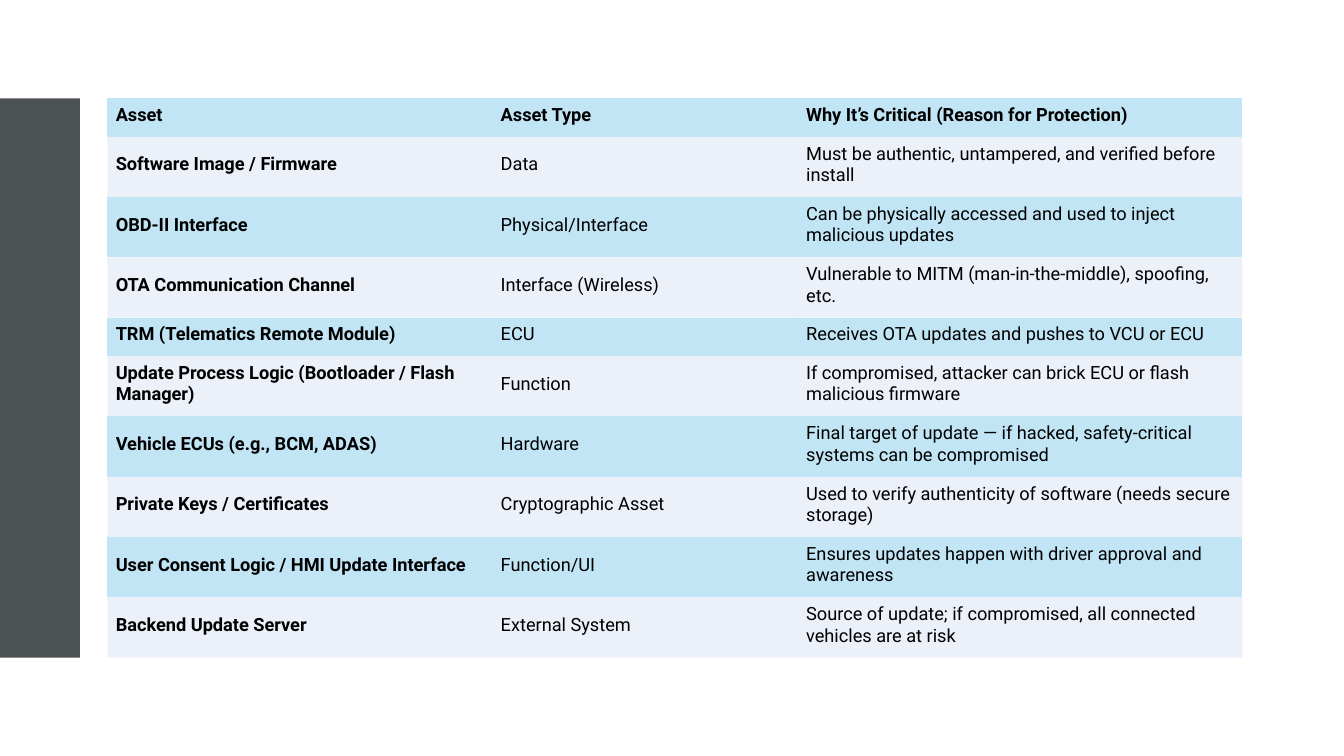
from dataclasses import dataclass

from lxml import etree
from pptx import Presentation
from pptx.dml.color import RGBColor
from pptx.enum import shapes, text
from pptx.oxml import ns
from pptx.util import Pt


@dataclass(frozen=True)
class Theme:
    font: str = "Roboto"
    size: float = 13
    ink: RGBColor = RGBColor(0x00, 0x00, 0x00)
    sidebar: RGBColor = RGBColor(0x4C, 0x52, 0x54)
    blue_band: RGBColor = RGBColor(0xC1, 0xE5, 0xF5)
    pale_band: RGBColor = RGBColor(0xDA, 0xE3, 0xF3)
    pale_opacity: int = 50


THEME = Theme()
PLAIN_TABLE_STYLE = "{2D5ABB26-0587-4C30-8999-92F81FD0307C}"
TOP = 70.2
COLUMN_WIDTHS = (275, 218.2, 317.5)
ONE_LINE_HEIGHT, TWO_LINE_HEIGHT = 27.4, 43.1
ONE_LINE_ROWS = (0, 4)

ASSETS = [
    ("Asset", "Asset Type", "Why It’s Critical (Reason for Protection)"),
    ("Software Image / Firmware", "Data",
     "Must be authentic, untampered, and verified before install"),
    ("OBD-II Interface", "Physical/Interface",
     "Can be physically accessed and used to inject malicious updates"),
    ("OTA Communication Channel", "Interface (Wireless)",
     "Vulnerable to MITM (man-in-the-middle), spoofing, etc."),
    ("TRM (Telematics Remote Module)", "ECU",
     "Receives OTA updates and pushes to VCU or ECU"),
    ("Update Process Logic (Bootloader / Flash Manager)", "Function",
     "If compromised, attacker can brick ECU or flash malicious firmware"),
    ("Vehicle ECUs (e.g., BCM, ADAS)", "Hardware",
     "Final target of update — if hacked, safety-critical systems can be compromised"),
    ("Private Keys / Certificates", "Cryptographic Asset",
     "Used to verify authenticity of software (needs secure storage)"),
    ("User Consent Logic / HMI Update Interface", "Function/UI",
     "Ensures updates happen with driver approval and awareness"),
    ("Backend Update Server", "External System",
     "Source of update; if compromised, all connected vehicles are at risk"),
]


def add_sidebar(slide, width, height):
    shape = slide.shapes.add_shape(
        shapes.MSO_SHAPE.RECTANGLE, Pt(0), Pt(TOP), Pt(width), Pt(height))
    shape.shadow.inherit = False
    shape.fill.solid()
    shape.fill.fore_color.rgb = THEME.sidebar
    shape.line.fill.background()


def fill_cell(cell, color, opacity=100):
    cell.fill.solid()
    cell.fill.fore_color.rgb = color
    if opacity < 100:
        color_element = cell.fill._xPr.find(f".//{ns.qn('a:srgbClr')}")
        etree.SubElement(color_element, ns.qn("a:alpha"), val=str(opacity * 1000))


def write_cell(cell, wording, bold):
    cell.vertical_anchor = text.MSO_ANCHOR.MIDDLE
    cell.margin_left = cell.margin_right = cell.margin_bottom = Pt(6)
    cell.margin_top = Pt(3)
    cell.text_frame.text = wording
    font = cell.text_frame.paragraphs[0].runs[0].font
    font.name, font.size, font.bold = THEME.font, Pt(THEME.size), bold
    font.color.rgb = THEME.ink


def add_asset_table(slide, left, row_heights):
    frame = slide.shapes.add_table(
        len(ASSETS), len(COLUMN_WIDTHS), Pt(left), Pt(TOP),
        Pt(sum(COLUMN_WIDTHS)), Pt(sum(row_heights)))
    frame.element.find(f".//{ns.qn('a:tableStyleId')}").text = PLAIN_TABLE_STYLE
    table = frame.table
    table.horz_banding = False
    for column, width in zip(table.columns, COLUMN_WIDTHS):
        column.width = Pt(width)
    for row_index, asset in enumerate(ASSETS):
        table.rows[row_index].height = Pt(row_heights[row_index])
        for column_index, wording in enumerate(asset):
            cell = table.cell(row_index, column_index)
            write_cell(cell, wording, bold=row_index == 0 or column_index == 0)
            if row_index % 2:
                fill_cell(cell, THEME.pale_band, THEME.pale_opacity)
            else:
                fill_cell(cell, THEME.blue_band)


def main():
    presentation = Presentation()
    presentation.slide_width, presentation.slide_height = Pt(960), Pt(540)
    slide = presentation.slides.add_slide(presentation.slide_layouts[6])
    row_heights = [ONE_LINE_HEIGHT if index in ONE_LINE_ROWS else TWO_LINE_HEIGHT
                   for index in range(len(ASSETS))]
    add_sidebar(slide, 57, sum(row_heights))
    add_asset_table(slide, 76.7, row_heights)
    presentation.save("out.pptx")


if __name__ == "__main__":
    main()
